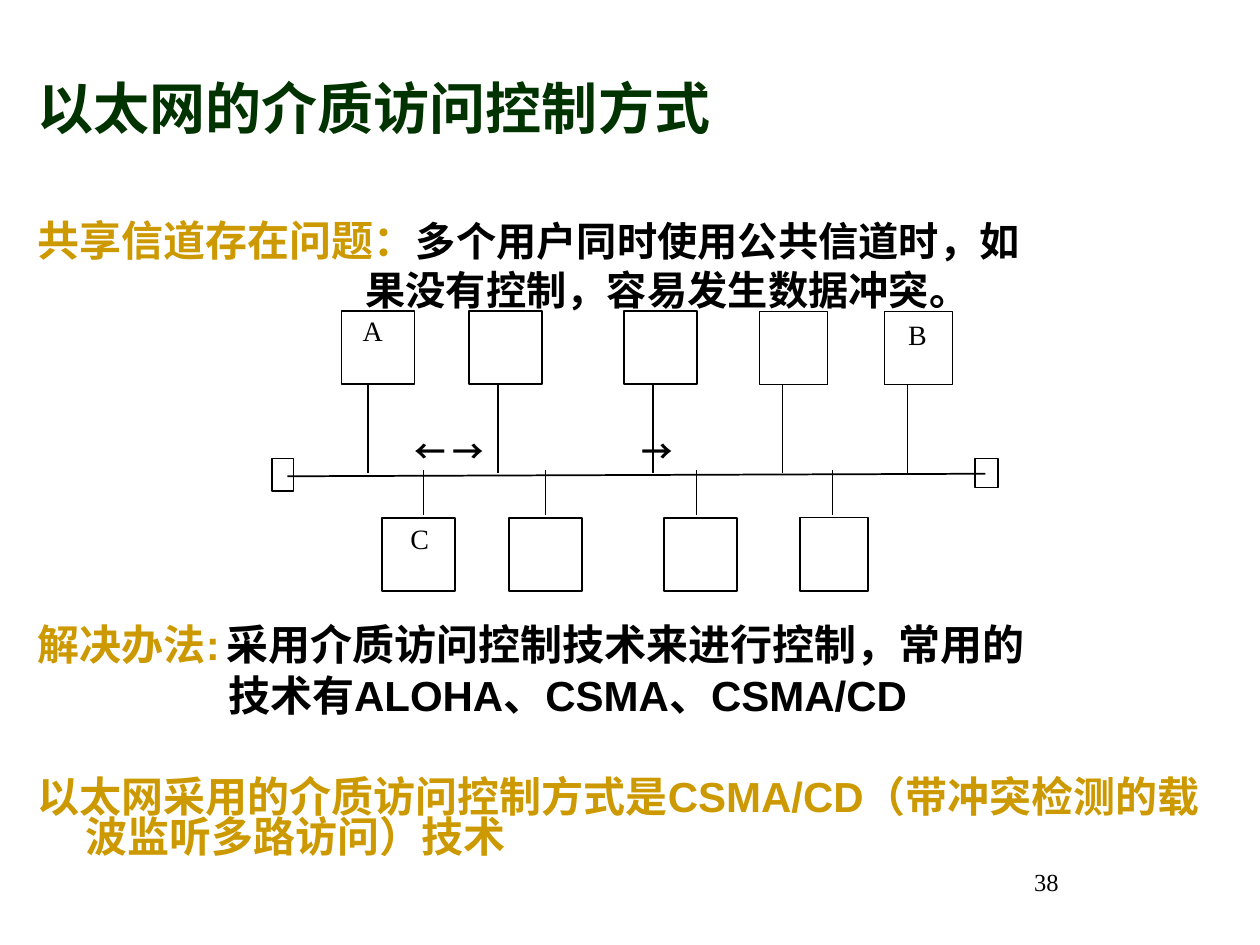
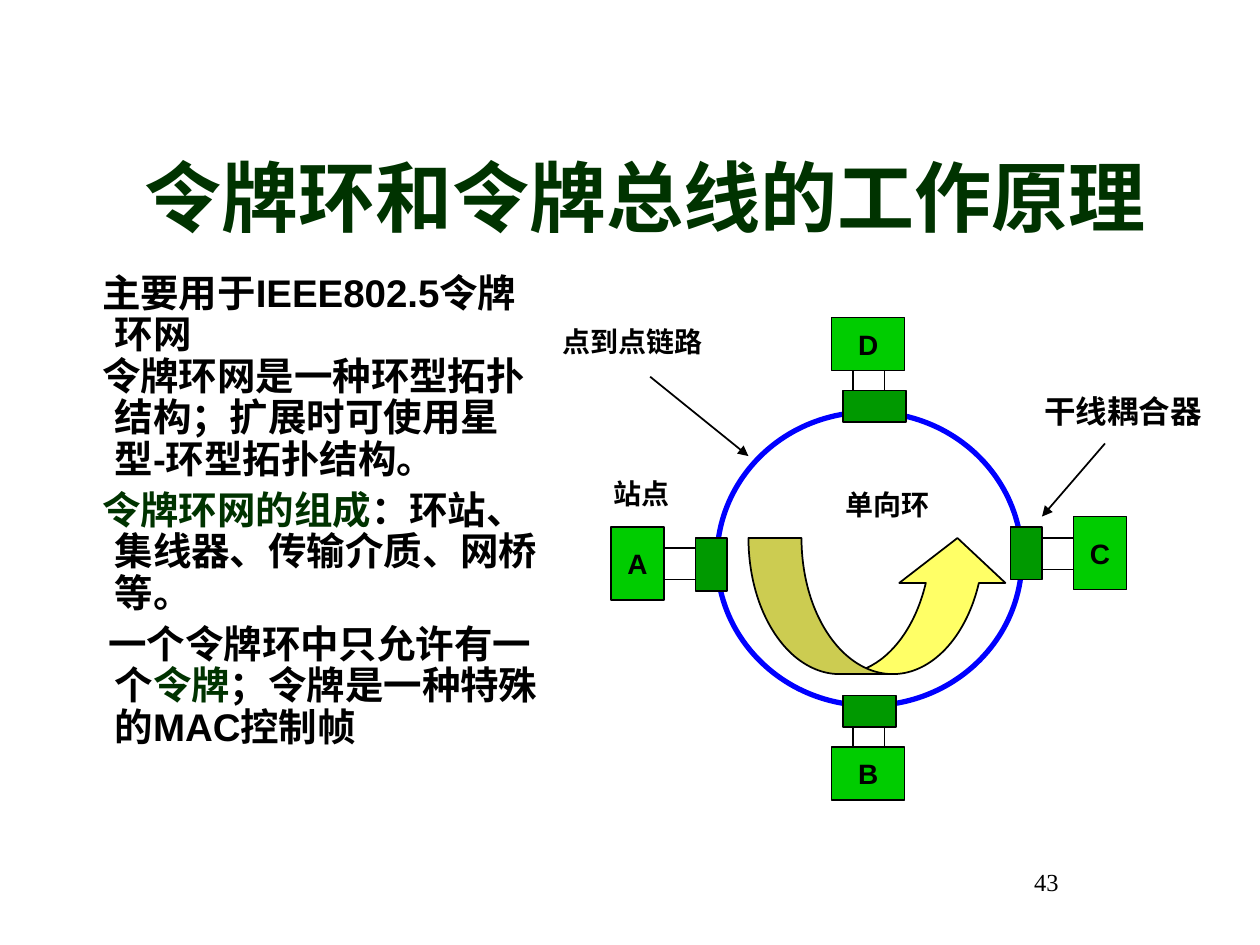
from dataclasses import dataclass
from typing import Any

from lxml import etree
from pptx import Presentation
from pptx.dml.color import RGBColor
from pptx.enum import shapes, text
from pptx.oxml.ns import qn
from pptx.util import Inches, Pt

COLOURS = {
    "ink": "000000",
    "title": "003300",
    "gold": "CC9900",
    "ring": "0000FF",
    "station": "00CC00",
    "coupler": "009900",
    "token": "FFFF66",
}
SANS, SERIF, TITLE_FONT, CJK = "Arial", "Times New Roman", "Montserrat", "Noto Sans CJK SC"


def colour(name):
    return RGBColor.from_string(COLOURS[name])


def format_run(run, size, name="ink", font=SANS, bold=True):
    run.font.size = Pt(size)
    run.font.bold = bold
    run.font.name = font
    run.font.color.rgb = colour(name)
    east_asian = etree.SubElement(run._r.get_or_add_rPr(), qn("a:ea"))
    east_asian.set("typeface", CJK)


def format_frame(frame, size, **style):
    for para in frame.paragraphs:
        for run in para.runs:
            format_run(run, size, **style)


def place(shape, left, top, width, height):
    shape.left, shape.top = Inches(left), Inches(top)
    shape.width, shape.height = Inches(width), Inches(height)


@dataclass
class Region:
    page: Any
    left: float
    top: float

    def point(self, x, y):
        return Inches(self.left + x), Inches(self.top + y)

    def shape(self, kind, x, y, width, height, fill=None, line="ink", weight=1):
        shape = self.page.shapes.add_shape(
            kind, *self.point(x, y), Inches(width), Inches(height))
        shape.shadow.inherit = False
        if fill:
            shape.fill.solid()
            shape.fill.fore_color.rgb = colour(fill)
        else:
            shape.fill.background()
        shape.line.color.rgb = colour(line)
        shape.line.width = Pt(weight)
        return shape

    def rect(self, *box, **style):
        return self.shape(shapes.MSO_SHAPE.RECTANGLE, *box, **style)

    def line(self, start, end, weight=1, arrow=False):
        line = self.page.shapes.add_connector(
            shapes.MSO_CONNECTOR.STRAIGHT, *self.point(*start), *self.point(*end))
        line.line.color.rgb = colour("ink")
        line.line.width = Pt(weight)
        properties = line._element.spPr
        if arrow:
            head = etree.SubElement(properties.find(qn("a:ln")), qn("a:tailEnd"))
            head.set("type", "triangle")
        etree.SubElement(properties, qn("a:effectLst"))

    def label(self, words, x, y, width, size=16, **style):
        box = self.page.shapes.add_textbox(*self.point(x, y), Inches(width), Inches(0.4))
        box.text_frame.word_wrap = True
        box.text_frame.text = words
        format_frame(box.text_frame, size, **style)
        return box


def add_page(deck, number):
    page = deck.slides.add_slide(deck.slide_layouts[1])
    label = Region(page, 6.83, 6.83).label(
        number, 0, 0, 1.67, size=14, font=SERIF, bold=False)
    label.text_frame.paragraphs[0].alignment = text.PP_ALIGN.RIGHT
    return page


def add_title(page, words, box, size, font, alignment, anchor):
    title = page.shapes.title
    place(title, *box)
    frame = title.text_frame
    frame.text = words
    frame.auto_size = text.MSO_AUTO_SIZE.NONE
    frame.vertical_anchor = anchor
    frame.paragraphs[0].alignment = alignment
    format_frame(frame, size, name="title", font=font)


def add_body(page, box, paragraphs, line_height):
    body = page.placeholders[1]
    place(body, *box)
    frame = body.text_frame
    frame.auto_size = text.MSO_AUTO_SIZE.NONE
    for index, (margin, indent, before, tab, spans) in enumerate(paragraphs):
        para = frame.add_paragraph() if index else frame.paragraphs[0]
        para.line_spacing = Pt(line_height)
        para.space_before = Pt(before)
        properties = para._p.get_or_add_pPr()
        properties.set("marL", str(Inches(margin)))
        properties.set("indent", str(Inches(indent)))
        etree.SubElement(properties, qn("a:buNone"))
        if tab:
            stops = etree.SubElement(properties, qn("a:tabLst"))
            etree.SubElement(stops, qn("a:tab"), pos=str(Inches(tab)), algn="l")
        for words, size, name in spans:
            run = para.add_run()
            run.text = words
            format_run(run, size, name)


def draw_bus(page, left, top):
    bus = Region(page, left, top)
    bus.line((0.12, 1.31), (5.66, 1.29))
    bus.rect(0, 1.17, 0.17, 0.26)
    bus.rect(5.58, 1.17, 0.18, 0.23)

    station_lefts = [0.55, 1.56, 2.79, 3.87, 4.86]
    rows = [
        (0, 0, [0.76, 1.79, 3.02, 4.05, 5.04], 0.58, 1.28),
        (0.32, 1.64, [1.2, 2.17, 3.37, 4.45], 1.26, 1.62),
    ]
    for shift, station_top, drops, drop_top, drop_bottom in rows:
        for index, (station_left, drop) in enumerate(zip(station_lefts, drops)):
            width, weight = (0.58, 1) if index < 3 else (0.54, 0.75)
            bus.rect(station_left + shift, station_top, width, 0.58, weight=weight)
            drop_weight = 0.75 if shift else weight
            bus.line((drop, drop_top), (drop, drop_bottom), weight=drop_weight)

    for name, x, y in [("A", 0.62, -0.03), ("B", 4.95, 0), ("C", 1, 1.62)]:
        bus.label(name, x, y, 0.4, font=SERIF, bold=False)
    for signal, x, width in [("← →", 1.03, 0.9), ("→", 2.83, 0.5)]:
        bus.label(signal, x, 0.91, width, size=18, font=CJK)


def draw_ring(page, left, top):
    ring = Region(page, left, top)
    ring.shape(shapes.MSO_SHAPE.OVAL, 1.32, 0.75, 2.42, 2.33, line="ring", weight=3)

    stations = [
        ("A", (0.48, 1.66, 0.42, 0.58), (1.15, 1.75, 0.25, 0.42), (0.9, 1.83), (0.25, 0)),
        ("B", (2.23, 3.41, 0.58, 0.42), (2.32, 3, 0.42, 0.25), (2.4, 3.25), (0, 0.16)),
        ("C", (4.15, 1.58, 0.42, 0.58), (3.65, 1.66, 0.25, 0.42), (3.9, 1.75), (0.25, 0)),
        ("D", (2.23, 0, 0.58, 0.42), (2.32, 0.58, 0.5, 0.25), (2.4, 0.42), (0, 0.16)),
    ]
    link_gap = 0.25
    for name, station_box, coupler_box, (x, y), (run_x, run_y) in stations:
        ring.rect(*coupler_box, fill="coupler")
        station = ring.rect(*station_box, fill="station")
        frame = station.text_frame
        frame.word_wrap = False
        frame.vertical_anchor = text.MSO_ANCHOR.MIDDLE
        frame.text = name
        frame.paragraphs[0].alignment = text.PP_ALIGN.CENTER
        format_frame(frame, 16)
        for step in (0, link_gap):
            link_x, link_y = (x, y + step) if run_x else (x + step, y)
            ring.line((link_x, link_y), (link_x + run_x, link_y + run_y))

    token = ring.shape(
        shapes.MSO_SHAPE.CURVED_UP_ARROW, 1.57, 1.75, 2.08, 1.08, fill="token")
    for index, value in enumerate((0.39, 0.78, 0.33)):
        token.adjustments[index] = value

    ring.label("点到点链路", 0, 0.01, 1.4)
    ring.label("站点", 0.4, 1.21, 0.75)
    ring.label("单向环", 2.24, 1.3, 0.95)
    ring.label("干线耦合器", 3.82, 0.54, 1.55, size=18)
    ring.line((0.79, 0.47), (1.57, 1.1), arrow=True)
    ring.line((4.4, 1), (3.9, 1.58), arrow=True)


def build_ethernet_page(deck):
    page = add_page(deck, "38")
    add_title(page, "以太网的介质访问控制方式", (0.2, 0.55, 9.6, 0.6), 32, SANS,
              text.PP_ALIGN.LEFT, text.MSO_ANCHOR.MIDDLE)
    paragraphs = [
        (0, 0, 0, None, [("共享信道存在问题：", 24, "gold"),
                         ("多个用户同时使用公共信道时，如", 23, "ink")]),
        (2.6, 0, 5, None, [("果没有控制，容易发生数据冲突。", 23, "ink")]),
        (0, 0, 180, 1.78, [("解决办法:\t", 24, "gold"),
                           ("采用介质访问控制技术来进行控制，常用的", 24, "ink")]),
        (1.51, 0, 6, None, [("技术有ALOHA、CSMA、CSMA/CD", 24, "ink")]),
        (0.38, -0.38, 35, None, [
            ("以太网采用的介质访问控制方式是CSMA/CD（带冲突检测的载波监听多路访问）技术",
             24, "gold")]),
    ]
    add_body(page, (0.2, 1.73, 9.61, 5.2), paragraphs, 23)
    draw_bus(page, 2.16, 2.47)


def build_token_ring_page(deck):
    page = add_page(deck, "43")
    add_title(page, "令牌环和令牌总线的工作原理", (0.75, 0.72, 8.75, 1.25), 44, TITLE_FONT,
              text.PP_ALIGN.CENTER, text.MSO_ANCHOR.BOTTOM)
    paragraphs = [
        (0.38, -0.1, 0, None, [("主要用于IEEE802.5令牌环网", 22, "ink")]),
        (0.38, -0.1, 0, None, [
            ("令牌环网是一种环型拓扑结构；扩展时可使用星型-环型拓扑结构。", 22, "ink")]),
        (0.38, -0.1, 5.5, None, [("令牌环网的组成", 22, "title"),
                                 ("：环站、集线器、传输介质、网桥等。", 22, "ink")]),
        (0.38, -0.05, 5.5, None, [("一个令牌环中只允许有一个", 22, "ink"),
                                  ("令牌", 22, "title"),
                                  ("；令牌是一种特殊的MAC控制帧", 22, "ink")]),
    ]
    add_body(page, (0.43, 2.12, 3.94, 4.5), paragraphs, 23.7)
    draw_ring(page, 4.37, 2.52)


def main():
    deck = Presentation()
    deck.slide_width, deck.slide_height = Inches(10), Inches(7.5)
    build_ethernet_page(deck)
    build_token_ring_page(deck)
    deck.save("out.pptx")


if __name__ == "__main__":
    main()
